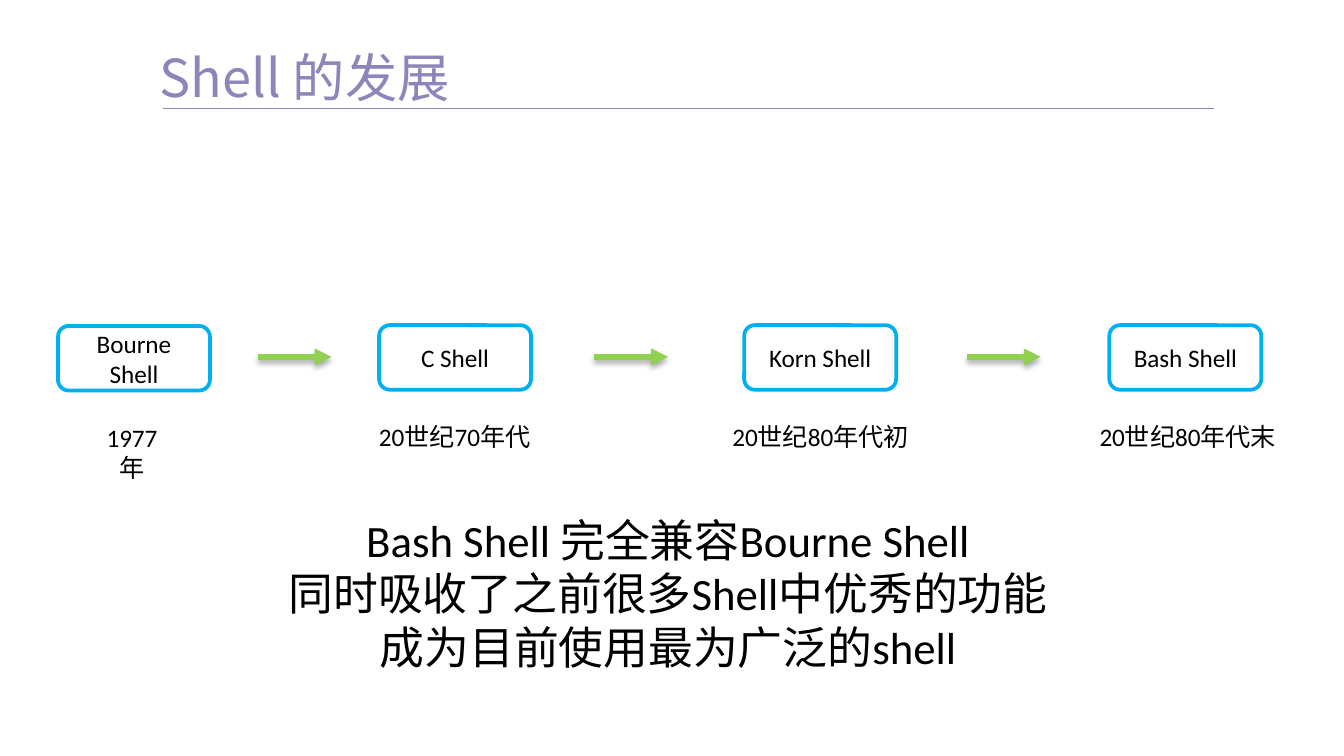
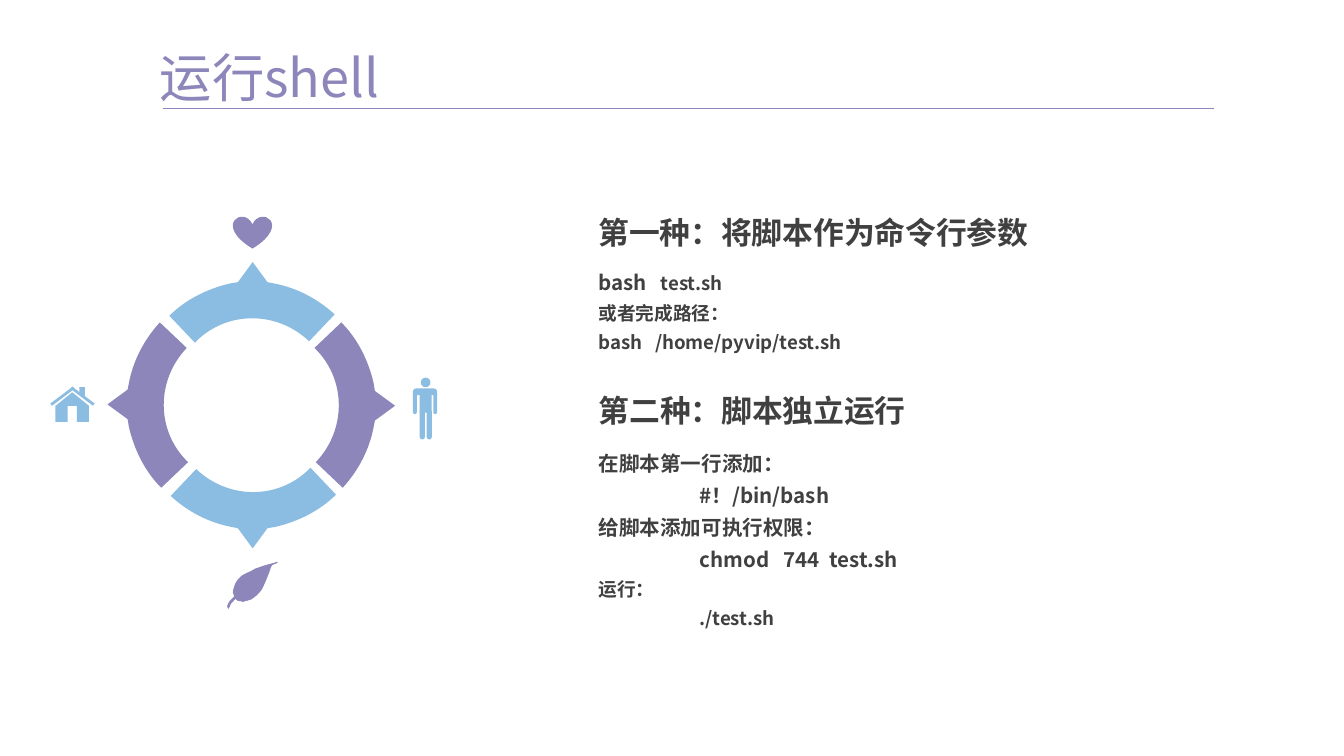
from dataclasses import dataclass

from lxml import etree
from pptx import Presentation
from pptx.dml.color import RGBColor as RGB
from pptx.enum.shapes import MSO_CONNECTOR as LINK, MSO_SHAPE as SHAPE
from pptx.enum.text import MSO_ANCHOR as ANCHOR, PP_ALIGN as ALIGN
from pptx.oxml import parse_xml
from pptx.oxml.ns import nsdecls, qn
from pptx.util import Pt


@dataclass(frozen=True)
class Theme:
    purple: str = "8D86BA"
    sky: str = "8BBDE2"
    cyan: str = "00B0F0"
    green: str = "92D050"
    white: str = "FFFFFF"
    black: str = "000000"
    gray: str = "404040"
    latin: str = "Calibri"
    cjk: str = "Noto Sans CJK SC"
    title: float = 28
    summary: float = 24
    heading: float = 16.5
    label: float = 13.5
    body: float = 11
    small: float = 10


T = Theme()


def write(sp, text, size, color=T.gray, font=T.cjk, bold=False, align=ALIGN.LEFT,
          inset=(5.04, 2.88), spacing=1.0, tab=0, join=False):
    tf = sp.text_frame
    tf.word_wrap = True
    tf.margin_left = tf.margin_right = Pt(inset[0])
    tf.margin_top = tf.margin_bottom = Pt(inset[1])
    for line in text.split("\n"):
        p = tf.paragraphs[-1]
        if p.runs and not join:
            p = tf.add_paragraph()
        p.alignment = align
        p.line_spacing = spacing
        if tab:
            tabs = etree.SubElement(p._p.get_or_add_pPr(), qn("a:tabLst"))
            etree.SubElement(tabs, qn("a:tab"), pos=str(Pt(tab)), algn="l")
        r = p.add_run()
        r.text = line
        r.font.size = Pt(size)
        r.font.bold = bold
        r.font.color.rgb = RGB.from_string(color)
        r.font.name = font
        etree.SubElement(r._r.get_or_add_rPr(), qn("a:ea")).set("typeface", T.cjk)


def paint(sp, fill, line=None, width=0):
    sp.shadow.inherit = False
    sp.fill.solid()
    sp.fill.fore_color.rgb = RGB.from_string(fill)
    if line:
        sp.line.color.rgb = RGB.from_string(line)
        sp.line.width = Pt(width)
    else:
        sp.line.fill.background()


prs = Presentation()
prs.slide_width, prs.slide_height = Pt(720), Pt(405)

for title in ("Shell 的发展", "运行shell"):
    s = prs.slides.add_slide(prs.slide_layouts[6])
    sp = s.shapes.add_textbox(Pt(85.7), Pt(24.1), Pt(177), Pt(33.8))
    write(sp, title, T.title, color=T.purple, inset=(0, 0))
    rule = s.shapes.add_connector(LINK.STRAIGHT, Pt(87.1), Pt(58), Pt(650.2), Pt(58))
    rule.line.color.rgb = RGB.from_string(T.purple)
    rule.line.width = Pt(0.75)
    etree.SubElement(rule._element.spPr, qn("a:effectLst"))

history, running = prs.slides

label_format = dict(size=T.label, color=T.black, font=T.latin, align=ALIGN.CENTER, inset=(7.2, 3.6))
shells = [
    ("Bourne Shell", 31.1, 174.6, "1977年", 43.7, 222.5, 54),
    ("C Shell", 203.1, 174.2, "20世纪70年代", 195.3, 222.1, 96.5),
    ("Korn Shell", 398.7, 174.2, "20世纪80年代初", 384.5, 222.1, 110.2),
    ("Bash Shell", 594.3, 174.2, "20世纪80年代末", 581.2, 222.1, 110.2),
]
for name, x, y, era, era_x, era_y, era_w in shells:
    sp = history.shapes.add_shape(SHAPE.ROUNDED_RECTANGLE, Pt(x), Pt(y), Pt(81.4), Pt(34.6))
    paint(sp, T.white, T.cyan, 2)
    write(sp, name, **label_format)
    sp.text_frame.vertical_anchor = ANCHOR.MIDDLE
    sp = history.shapes.add_textbox(Pt(era_x), Pt(era_y), Pt(era_w), Pt(23.8))
    write(sp, era, **label_format)

for x in (138.2, 318.5, 518.1):
    arrow = history.shapes.add_connector(LINK.STRAIGHT, Pt(x), Pt(191.2), Pt(x + 39.4), Pt(191.2))
    arrow.line.color.rgb = RGB.from_string(T.green)
    arrow.line.width = Pt(3)
    etree.SubElement(arrow.line._get_or_add_ln(), qn("a:tailEnd")).set("type", "triangle")
    arrow._element.spPr.append(parse_xml(
        f'<a:effectLst {nsdecls("a")}><a:outerShdw blurRad="{Pt(3.1)}" dist="{Pt(1.8)}" '
        f'dir="5400000" rotWithShape="0"><a:srgbClr val="{T.black}"><a:alpha val="35000"/>'
        '</a:srgbClr></a:outerShdw></a:effectLst>'))

sp = history.shapes.add_textbox(Pt(75.6), Pt(270.9), Pt(564.5), Pt(94.3))
write(sp, "Bash Shell 完全兼容Bourne Shell\n同时吸收了之前很多Shell中优秀的功能\n成为目前使用最为广泛的shell",
      T.summary, color=T.black, font=T.latin, align=ALIGN.CENTER, inset=(7.2, 3.6))

unit = 0.72
segment = [
    [(-40, -62)], [(-28, -50), (-20, -34), (-16, -17)], [(-15, -11)], [(0, 0)], [(-15, 11)],
    [(-16, 16)], [(-19, 32), (-27, 48), (-39, 61)], [(-59, 42)], [(-36, 18), (-36, -20), (-60, -43)],
]
leaf = [
    [[(5, 25)], [(4, 24), (4, 22), (5, 19)], [(6, 15), (8, 13), (10, 11)], [(12, 9), (20, 6), (24, 4)],
     [(29, 2), (36, 1), (37, 0)], [(39, 0), (35, 2), (34, 2)], [(33, 3), (32, 3), (31, 6)],
     [(30, 9), (29, 14), (27, 18)], [(25, 21), (24, 23), (21, 25)], [(19, 27), (16, 29), (14, 29)],
     [(12, 30), (9, 29), (8, 29)], [(6, 28), (5, 27), (5, 25)]],
    [[(7, 26)], [(7, 27), (4, 30), (3, 31)], [(2, 33), (2, 34), (1, 35)], [(1, 35), (0, 34), (0, 33)],
     [(0, 32), (1, 31), (2, 29)], [(3, 28), (6, 25), (6, 25)], [(7, 25), (8, 24), (7, 26)]],
    [[(37, 0)], [(39, 0), (35, 2), (34, 2)], [(33, 3), (33, 3), (32, 6)], [(31, 9), (29, 14), (27, 18)],
     [(26, 21), (24, 23), (22, 25)], [(18, 28)], [(14, 29)], [(11, 30)], [(18, 7)], [(21, 5)],
     [(22, 5), (23, 4), (25, 4)], [(29, 2), (36, 1), (37, 0)]],
    [[(6, 25)], [(7, 24), (11, 19), (13, 17)], [(16, 14), (20, 12), (20, 11)],
     [(20, 11), (17, 14), (15, 16)], [(13, 18), (11, 21), (10, 22)], [(8, 24), (7, 26), (6, 26)],
     [(6, 27), (5, 27), (6, 25)]],
]
outlines = [
    (segment, 211.7, 217.4, 1, 0, T.purple),
    (segment, 57.6, 216.7, -1, 0, T.purple),
    (segment, 135.4, 293.8, 0, 1, T.sky),
    (segment, 135.4, 140.4, 0, -1, T.sky),
]
outlines += [(part, 121.7, 301, 1, 0, T.purple) for part in leaf]

drawn = []
for outline, x0, y0, c, n, color in outlines:
    parts = [[(Pt(x0 + unit * (c * x - n * y)), Pt(y0 + unit * (n * x + c * y))) for x, y in part]
             for part in outline]
    fb = running.shapes.build_freeform(*parts[0][-1])
    fb.add_line_segments([part[-1] for part in parts[1:]], close=True)
    sp = fb.convert_to_shape()
    for node, part in zip(list(sp._element.iter(qn("a:lnTo"))), parts[1:]):
        if len(part) == 3:
            curve = etree.Element(qn("a:cubicBezTo"))
            for x, y in part:
                etree.SubElement(curve, qn("a:pt"), x=str(x - sp.left), y=str(y - sp.top))
            node.getparent().replace(node, curve)
    paint(sp, color)
    drawn.append(sp)
running.shapes.add_group_shape(drawn[-len(leaf):])

heart = running.shapes.add_shape(SHAPE.HEART, Pt(124.8), Pt(115.9), Pt(20.9), Pt(17.3))
paint(heart, T.purple)

limb = SHAPE.ROUND_2_SAME_RECTANGLE
person = [
    (SHAPE.OVAL, 225.4, 202.3, 5.2, 5.2, 0, ()),
    (limb, 221.2, 208.1, 13, 3.6, 0, (0.5, 0)),
    (SHAPE.RECTANGLE, 224.8, 211.7, 6.5, 9.4, 0, ()),
]
person += [(limb, x, 220.3, 2.8, 15.1, 180, (0.5, 0)) for x in (224.8, 228.5)]
person += [(limb, x, 211, 2.1, 10.8, 180, (0.5, 0)) for x in (221.2, 232.1)]
house = [
    (SHAPE.RECTANGLE, 25.9, 211.5, 15.1, 1.5, 323, ()),
    (SHAPE.RECTANGLE, 36.7, 211.5, 15.1, 1.5, 37, ()),
    (SHAPE.ISOSCELES_TRIANGLE, 29.7, 210.2, 18, 7.3, 0, ()),
    (SHAPE.SNIP_1_RECTANGLE, 42.5, 207.4, 2.9, 5, 180, (0.5,)),
]
house += [(SHAPE.RECTANGLE, x, 217.4, 6.5, 8.6, 0, ()) for x in (29.7, 41.2)]
for icon in (person, house):
    group = running.shapes.add_group_shape()
    for kind, x, y, w, h, turn, adjust in icon:
        sp = group.shapes.add_shape(kind, Pt(x), Pt(y), Pt(w), Pt(h))
        sp.rotation = turn
        for i, value in enumerate(adjust):
            sp.adjustments[i] = value
        paint(sp, T.sky)

text_x = 315.7
for heading, y, w in (("第一种：将脚本作为命令行参数", 111.6, 246), ("第二种：脚本独立运行", 206.9, 178)):
    sp = running.shapes.add_textbox(Pt(text_x), Pt(y), Pt(w), Pt(25.2))
    write(sp, heading, T.heading, bold=True)

step_format = dict(bold=True, spacing=1.3)
sp = running.shapes.add_textbox(Pt(text_x), Pt(138), Pt(268.6), Pt(52.6))
write(sp, "bash  ", T.body, **step_format)
write(sp, " test.sh", T.small, join=True, **step_format)
write(sp, "或者完成路径：\nbash   /home/pyvip/test.sh", T.small, **step_format)

sp = running.shapes.add_textbox(Pt(text_x), Pt(234.6), Pt(268.6), Pt(105.8))
for caption, command, size in (
    ("在脚本第一行添加：", "\t#！/bin/bash", T.body),
    ("给脚本添加可执行权限：", "\tchmod   744  test.sh", T.body),
    ("运行：", "\t./test.sh", T.small),
):
    write(sp, caption, size, **step_format)
    write(sp, command, size, tab=54, **step_format)

prs.save("out.pptx")
